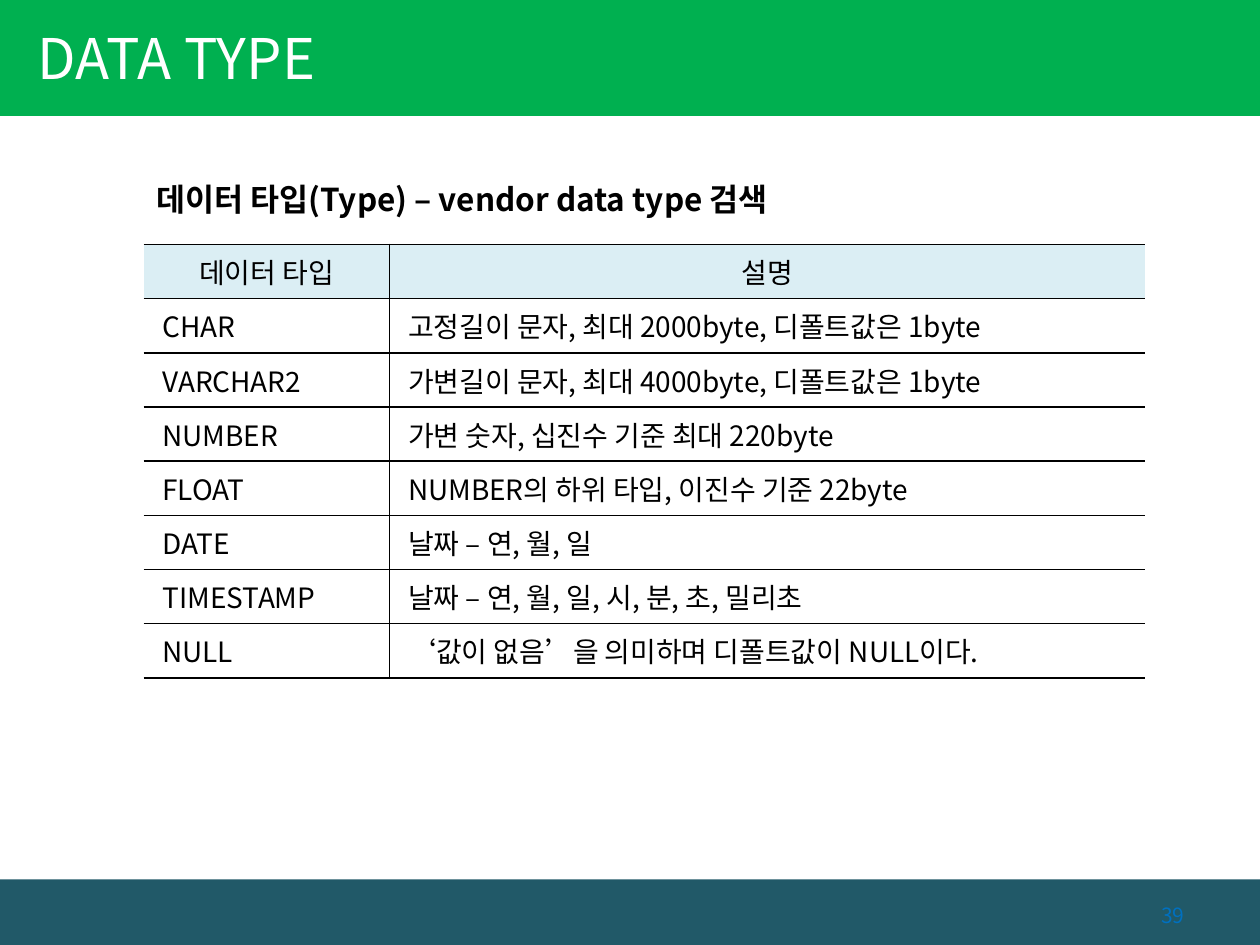
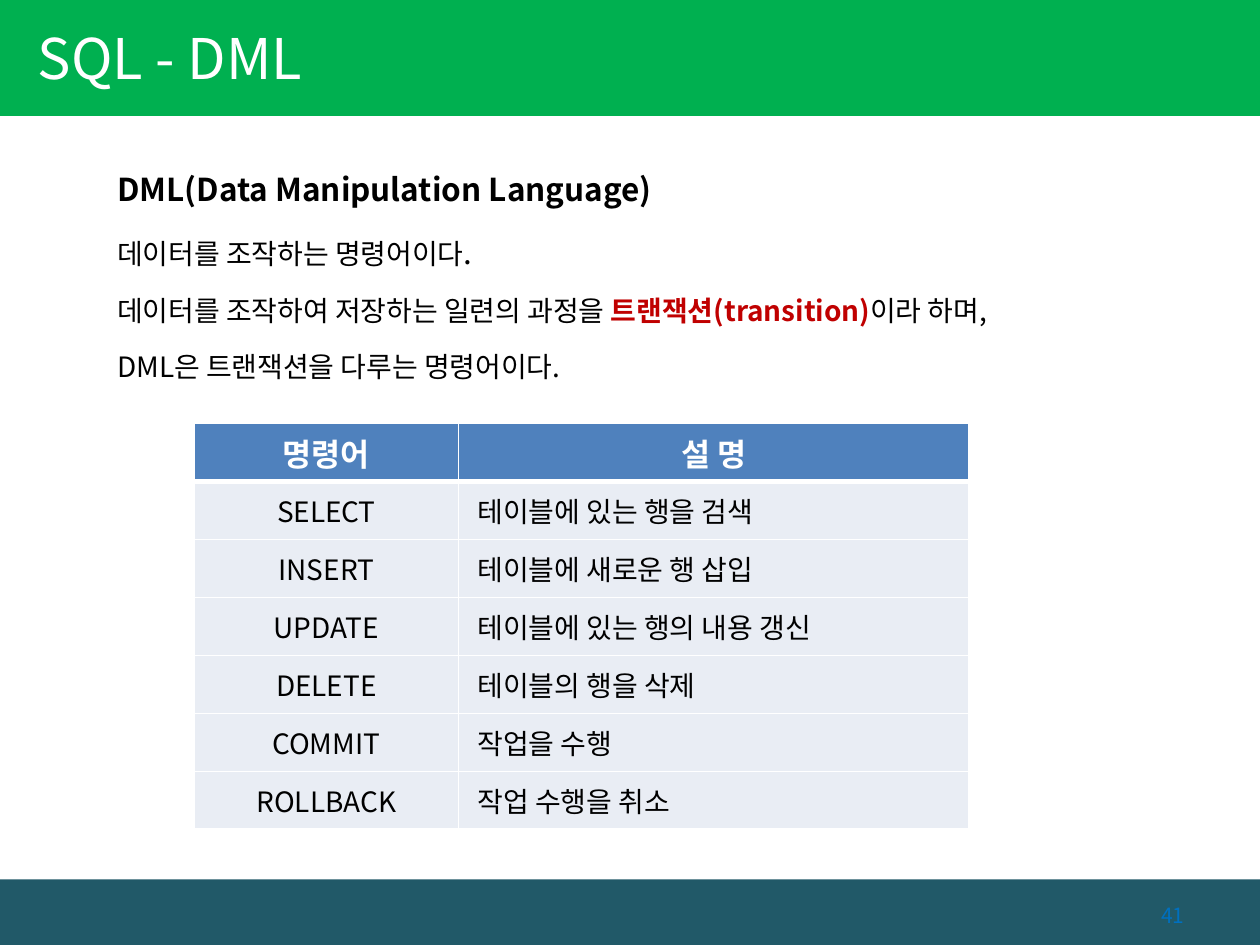
from dataclasses import dataclass

from lxml.etree import SubElement
from pptx import Presentation
from pptx.dml.color import RGBColor
from pptx.enum.shapes import MSO_SHAPE as Preset
from pptx.enum.text import MSO_ANCHOR as Anchor, MSO_AUTO_SIZE as AutoSize, PP_ALIGN as Align
from pptx.oxml.ns import qn
from pptx.util import Inches, Pt


@dataclass(frozen=True)
class Theme:
    font: str = "Noto Sans CJK KR"
    title_size: int = 32
    heading_size: int = 18
    text_size: int = 16
    number_size: int = 12
    white: str = "FFFFFF"
    black: str = "000000"
    red: str = "C00000"
    blue: str = "0070C0"
    header_band: str = "00B050"
    footer_band: str = "215968"
    type_header: str = "DBEEF4"
    command_header: str = "4F81BD"
    command_row: str = "E9EDF4"


THEME = Theme()
WIDTH, HEIGHT = 10, 7.5
HEADER_HEIGHT, FOOTER_HEIGHT = 0.92, 0.52
NO_TABLE_STYLE = "{2D5ABB26-0587-4C30-8999-92F81FD0307C}"

# Content: a paragraph is a list of (text, kind) runs
DATA_TYPES = [
    ("데이터 타입", "설명"),
    ("CHAR", "고정길이 문자, 최대 2000byte, 디폴트값은 1byte"),
    ("VARCHAR2", "가변길이 문자, 최대 4000byte, 디폴트값은 1byte"),
    ("NUMBER", "가변 숫자, 십진수 기준 최대 220byte"),
    ("FLOAT", "NUMBER의 하위 타입, 이진수 기준 22byte"),
    ("DATE", "날짜 – 연, 월, 일"),
    ("TIMESTAMP", "날짜 – 연, 월, 일, 시, 분, 초, 밀리초"),
    ("NULL", "‘값이 없음’을 의미하며 디폴트값이 NULL이다."),
]
COMMANDS = [
    ("명령어", "설 명"),
    ("SELECT", "테이블에 있는 행을 검색"),
    ("INSERT", "테이블에 새로운 행 삽입"),
    ("UPDATE", "테이블에 있는 행의 내용 갱신"),
    ("DELETE", "테이블의 행을 삭제"),
    ("COMMIT", "작업을 수행"),
    ("ROLLBACK", "작업 수행을 취소"),
]
SLIDES = [
    dict(
        title="DATA TYPE", number=39, body_box=(1.14, 1.23, 7.24, 0.55),
        body=[[("데이터 타입(Type) – vendor data type 검색", "heading")]],
        table=dict(
            rows=DATA_TYPES, corner=(1.14, 1.94), columns=(1.95, 6),
            heights=(0.43, 0.43), header_fill=THEME.type_header, row_fill=None,
            header_color=THEME.black, header_size=THEME.text_size, header_bold=False,
            key_align=Align.LEFT, border=THEME.black, header_rule=1, outer_sides=False,
        ),
    ),
    dict(
        title="SQL - DML", number=41, body_box=(0.83, 1.15, 7.87, 2.05),
        body=[
            [("DML(Data Manipulation Language)", "heading")],
            [("데이터를 조작하는 명령어이다", "text"), (".", "large")],
            [("데이터를 조작하여 저장하는 일련의 과정을 ", "text"),
             ("트랜잭션(transition)", "key"), ("이라 하며,", "text")],
            [("DML은 트랜잭션을 다루는 명령어이다.", "text")],
        ],
        table=dict(
            rows=COMMANDS, corner=(1.54, 3.36), columns=(2.1, 4.05),
            heights=(0.38, 0.46), header_fill=THEME.command_header,
            row_fill=THEME.command_row, header_color=THEME.white,
            header_size=THEME.heading_size, header_bold=True,
            key_align=Align.CENTER, border=THEME.white, header_rule=3, outer_sides=True,
        ),
    ),
]
# Run kinds: size, colour, bold
RUN_KINDS = {
    "heading": (THEME.heading_size, THEME.black, True),
    "large": (THEME.heading_size, THEME.black, False),
    "text": (THEME.text_size, THEME.black, False),
    "key": (THEME.text_size, THEME.red, True),
}


def rgb(color):
    return RGBColor.from_string(color)


def style_font(font, properties, size, color, bold=False):
    font.name, font.size, font.bold = THEME.font, Pt(size), bold
    font.color.rgb = rgb(color)
    SubElement(properties, qn("a:ea"), typeface=THEME.font)


def style_paragraph(paragraph, size, color, bold=False, align=Align.LEFT):
    paragraph.alignment = align
    font = paragraph.font
    style_font(font, paragraph._p.pPr.find(qn("a:defRPr")), size, color, bold)


def place(shape, left, top, width, height):
    shape.left, shape.top = Inches(left), Inches(top)
    shape.width, shape.height = Inches(width), Inches(height)


# Bands, held by the layout
def add_bands(layout, slide):
    bands = [
        (HEIGHT - FOOTER_HEIGHT, FOOTER_HEIGHT, THEME.footer_band),
        (0, HEADER_HEIGHT, THEME.header_band),
    ]
    for position, (top, height, color) in enumerate(bands, start=2):
        band = slide.shapes.add_shape(
            Preset.RECTANGLE, *map(Inches, (0, top, WIDTH, height)))
        band.shadow.inherit = False
        band.fill.solid()
        band.fill.fore_color.rgb = rgb(color)
        band.line.fill.background()
        layout.element.cSld.spTree.insert(position, band.element)


def fill_title(title, text):
    place(title, 0, -0.02, 6.26, 0.94)
    frame = title.text_frame
    frame.text = text
    frame.auto_size, frame.vertical_anchor = AutoSize.NONE, Anchor.MIDDLE
    frame.margin_left = Inches(0.3)
    style_paragraph(frame.paragraphs[0], THEME.title_size, THEME.white)


def fill_body(body, box, paragraphs):
    place(body, *box)
    frame = body.text_frame
    frame.auto_size = AutoSize.NONE
    for index, runs in enumerate(paragraphs):
        paragraph = frame.add_paragraph() if index else frame.paragraphs[0]
        properties = paragraph._p.get_or_add_pPr()
        properties.set("marL", "0")
        properties.set("indent", "0")
        paragraph.line_spacing = 1.5
        if index == 0:
            paragraph.space_before = Pt(0)
        SubElement(properties, qn("a:buNone"))
        main_kind = runs[0][1]
        style_paragraph(paragraph, *RUN_KINDS[main_kind])
        for text, kind in runs:
            run = paragraph.add_run()
            run.text = text
            if kind != main_kind:
                style_font(run.font, run._r.get_or_add_rPr(), *RUN_KINDS[kind])


def add_border(cell, side, color, points):
    line = SubElement(cell._tc.get_or_add_tcPr(), qn(f"a:ln{side}"), w=str(Pt(points)))
    fill = SubElement(line, qn("a:solidFill"))
    SubElement(fill, qn("a:srgbClr"), val=color)


def add_table(slide, rows, corner, columns, heights, header_fill, row_fill, header_color,
              header_size, header_bold, key_align, border, header_rule, outer_sides):
    header_height, row_height = heights
    total = header_height + row_height * (len(rows) - 1)
    frame = slide.shapes.add_table(
        len(rows), len(columns), *map(Inches, (*corner, sum(columns), total)))
    table = frame.table
    table._tbl.tblPr.find(qn("a:tableStyleId")).text = NO_TABLE_STYLE
    table.horz_banding = False
    for column, width in zip(table.columns, columns):
        column.width = Inches(width)
    for row_index, values in enumerate(rows):
        header = row_index == 0
        table.rows[row_index].height = Inches(header_height if header else row_height)
        for column_index, value in enumerate(values):
            cell = table.cell(row_index, column_index)
            cell.text, cell.vertical_anchor = value, Anchor.MIDDLE
            paragraph = cell.text_frame.paragraphs[0]
            if header:
                style_paragraph(paragraph, header_size, header_color, header_bold, Align.CENTER)
            else:
                align = Align.LEFT if column_index else key_align
                style_paragraph(paragraph, THEME.text_size, THEME.black, align=align)
                if align == Align.LEFT:
                    cell.margin_left = Inches(0.15)
            # Borders come before the fill in the cell's properties
            if column_index or outer_sides:
                add_border(cell, "L", border, 1)
            if column_index < len(columns) - 1 or outer_sides:
                add_border(cell, "R", border, 1)
            add_border(cell, "T", border, header_rule if row_index == 1 else 1)
            add_border(cell, "B", border, header_rule if header else 1)
            color = header_fill if header else row_fill
            if color:
                cell.fill.solid()
                cell.fill.fore_color.rgb = rgb(color)


def add_number(slide, number):
    box = slide.shapes.add_textbox(*map(Inches, (8.5, 7.06, 1, 0.4)))
    frame = box.text_frame
    frame.word_wrap, frame.vertical_anchor = True, Anchor.MIDDLE
    frame.text = str(number)
    style_paragraph(frame.paragraphs[0], THEME.number_size, THEME.blue, align=Align.RIGHT)


def main():
    presentation = Presentation()
    presentation.slide_width, presentation.slide_height = Inches(WIDTH), Inches(HEIGHT)
    layout = presentation.slide_layouts.get_by_name("Title and Content")
    for index, content in enumerate(SLIDES):
        slide = presentation.slides.add_slide(layout)
        if index == 0:
            add_bands(layout, slide)
        fill_title(slide.shapes.title, content["title"])
        fill_body(slide.placeholders[1], content["body_box"], content["body"])
        add_table(slide, **content["table"])
        add_number(slide, content["number"])
    presentation.save("out.pptx")


if __name__ == "__main__":
    main()
